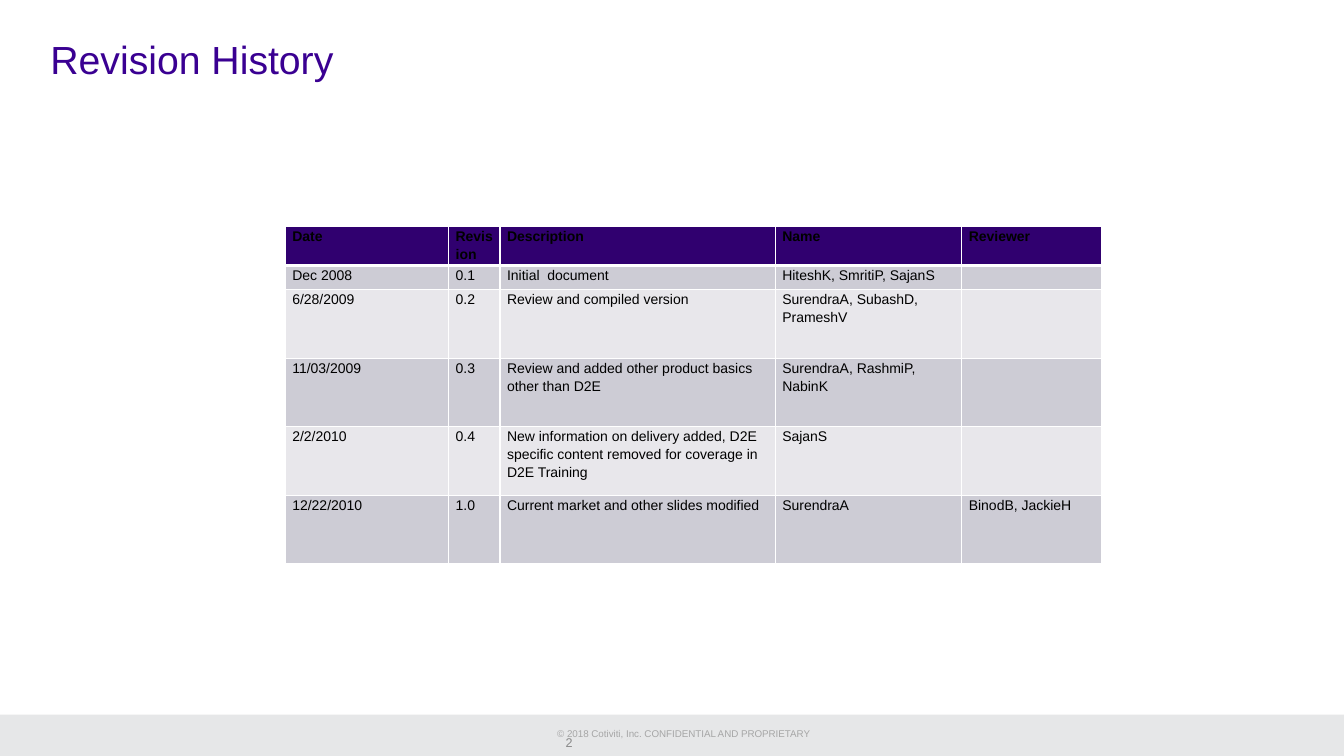
from lxml import etree
from pptx import Presentation
from pptx.dml.color import RGBColor
from pptx.enum.shapes import MSO_SHAPE
from pptx.enum.text import MSO_ANCHOR, PP_ALIGN
from pptx.oxml.ns import qn
from pptx.util import Inches, Pt

RECT = MSO_SHAPE.RECTANGLE
TOP, MIDDLE = MSO_ANCHOR.TOP, MSO_ANCHOR.MIDDLE
LEFT, CENTER = PP_ALIGN.LEFT, PP_ALIGN.CENTER

COLS = [1.62, 0.51, 2.73, 1.85, 1.39]
HEIGHTS = [0.38, 0.24] + [0.68] * 4
ROWS = [
    ["Date", "Revision", "Description", "Name", "Reviewer"],
    ["Dec 2008", "0.1", "Initial  document", "HiteshK, SmritiP, SajanS", ""],
    ["6/28/2009", "0.2", "Review and compiled version",
     "SurendraA, SubashD, PrameshV", ""],
    ["11/03/2009", "0.3", "Review and added other product basics other than D2E",
     "SurendraA, RashmiP, NabinK", ""],
    ["2/2/2010", "0.4",
     "New information on delivery added, D2E specific content removed "
     "for coverage in D2E Training", "SajanS", ""],
    ["12/22/2010", "1.0", "Current market and other slides modified",
     "SurendraA", "BinodB, JackieH"],
]


def color(code):
    return RGBColor.from_string(code)


class Deck:
    font = "Arial"
    head = "30006F"
    bands = ["E8E7EB", "CDCCD5"]
    rule = "FFFFFF"

    def __init__(self):
        self.prs = Presentation()
        self.prs.slide_width = Inches(13.33)
        self.prs.slide_height = Inches(7.5)
        self.slide = self.prs.slides.add_slide(self.prs.slide_layouts[5])

    def words(self, para, text, size, code, bold=False):
        para.font.size = Pt(size)
        if text:
            run = para.add_run()
            run.text = text
            font = run.font
            font.name, font.size, font.bold = self.font, Pt(size), bold
            font.color.rgb = color(code)

    def inset(self, item, side, edge):
        item.margin_left = item.margin_right = Inches(side)
        item.margin_top = item.margin_bottom = Inches(edge)

    def bar(self, box, code):
        shape = self.slide.shapes.add_shape(RECT, *map(Inches, box))
        shape.shadow.inherit = False
        shape.fill.solid()
        shape.fill.fore_color.rgb = color(code)
        shape.line.fill.background()

    def title(self, box, text, size, code):
        shape = self.slide.shapes.title
        shape.left, shape.top, shape.width, shape.height = map(Inches, box)
        frame = shape.text_frame
        frame.vertical_anchor = TOP
        self.inset(frame, 0, 0)
        para = frame.paragraphs[0]
        para.alignment, para.line_spacing = LEFT, 0.9
        self.words(para, text, size, code)

    def label(self, box, text, size, code, align, anchor, inset):
        frame = self.slide.shapes.add_textbox(*map(Inches, box)).text_frame
        frame.word_wrap = True
        frame.vertical_anchor = anchor
        self.inset(frame, *inset)
        para = frame.paragraphs[0]
        para.alignment = align
        self.words(para, text, size, code)

    def border(self, cell, base):
        props = cell._tc.get_or_add_tcPr()
        for side, width in zip("LRTB", [1, 1, 1, base]):
            line = etree.SubElement(props, qn(f"a:ln{side}"), w=str(Pt(width)))
            fill = etree.SubElement(line, qn("a:solidFill"))
            etree.SubElement(fill, qn("a:srgbClr"), val=self.rule)

    def cell(self, cell, text, row):
        first = row == 0
        self.inset(cell, 0.07, 0)
        self.border(cell, 3 if first else 1)
        cell.fill.solid()
        cell.fill.fore_color.rgb = color(self.head if first else self.bands[row % 2])
        para = cell.text_frame.paragraphs[0]
        para.line_spacing, para.space_after = 1.15, Pt(10)
        self.words(para, text, 10, "000000", first)

    def table(self, left, top, cols, heights, rows):
        box = [left, top, sum(cols), sum(heights)]
        grid = self.slide.shapes.add_table(
            len(rows), len(cols), *map(Inches, box)).table
        for col, width in zip(grid.columns, cols):
            col.width = Inches(width)
        for num, (height, texts) in enumerate(zip(heights, rows)):
            grid.rows[num].height = Inches(height)
            for pos, text in enumerate(texts):
                self.cell(grid.cell(num, pos), text, num)


def main():
    deck = Deck()
    deck.bar([0, 7.09, 13.33, 0.41], "E6E7E8")
    deck.label([4.92, 7.17, 3.72, 0.22],
               "© 2018 Cotiviti, Inc. CONFIDENTIAL AND PROPRIETARY",
               7, "A6A6A6", CENTER, TOP, (0.1, 0.05))
    deck.title([0.5, 0.4, 12.33, 1], "Revision History", 28, "3A0092")
    deck.label([5.61, 7.22, 1.85, 0.3], "2", 9, "898989", LEFT, MIDDLE, (0, 0))
    deck.table(2.83, 2.25, COLS, HEIGHTS, ROWS)
    deck.prs.save("out.pptx")


if __name__ == "__main__":
    main()
